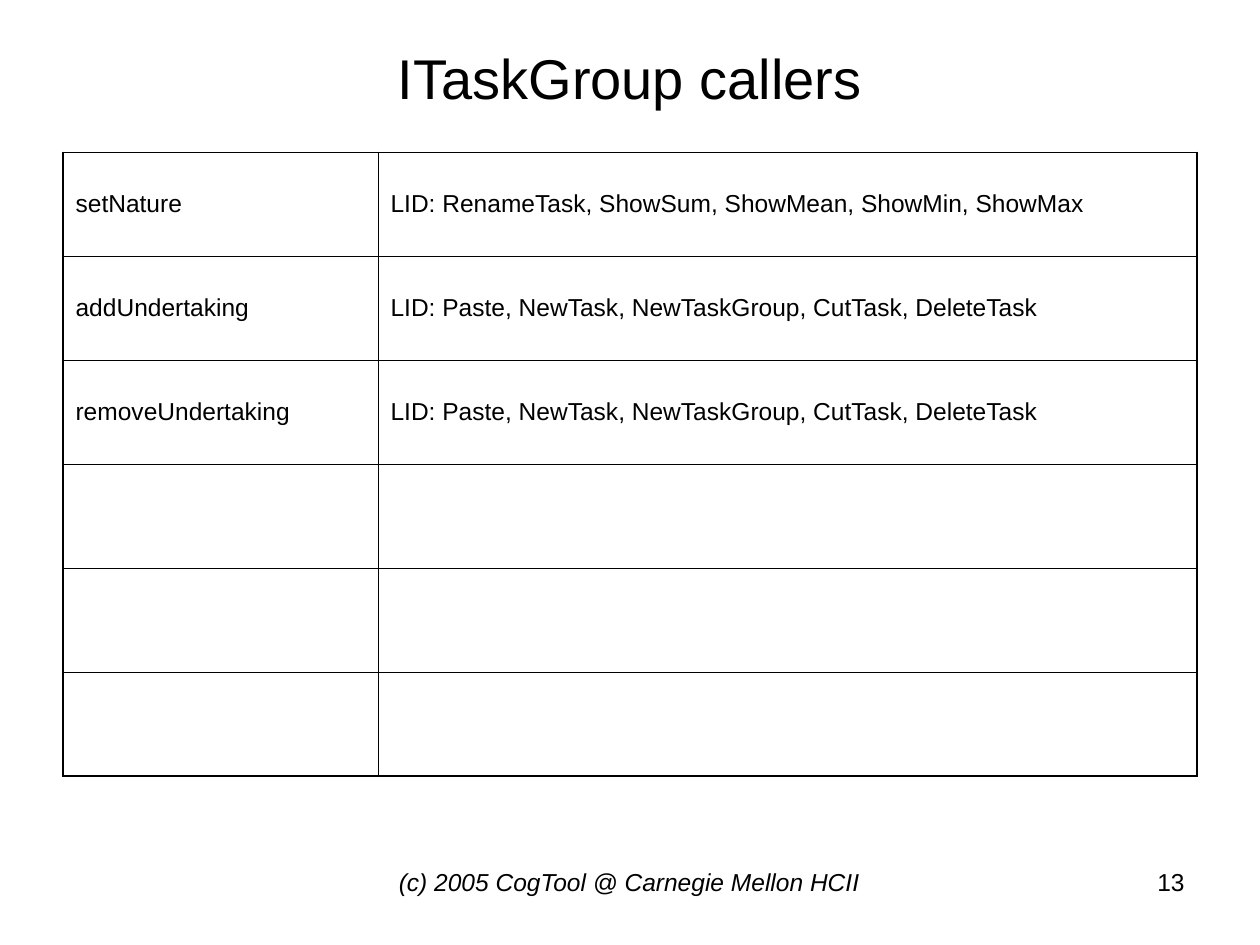
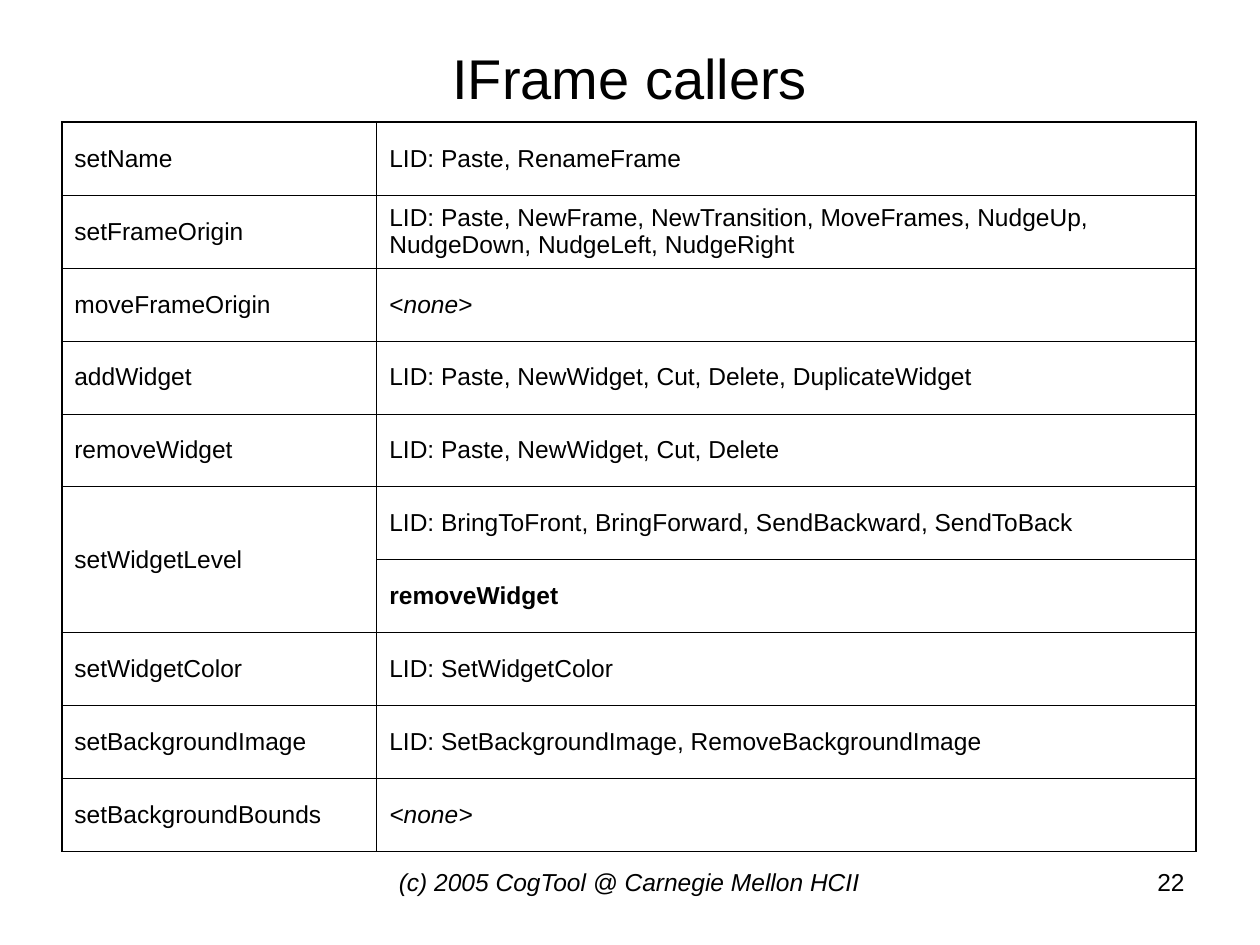
from dataclasses import dataclass
from typing import NamedTuple

from lxml import etree
from pptx import Presentation
from pptx.dml.color import RGBColor
from pptx.enum.text import MSO_ANCHOR, PP_ALIGN
from pptx.oxml.ns import qn
from pptx.util import Inches, Pt

LEFT, CENTER, RIGHT = PP_ALIGN.LEFT, PP_ALIGN.CENTER, PP_ALIGN.RIGHT
TOP, MIDDLE = MSO_ANCHOR.TOP, MSO_ANCHOR.MIDDLE


@dataclass(frozen=True)
class Theme:
    """Colours, type sizes and line widths shared by the slides."""
    font: str = "Arial"
    ink: str = "000000"
    title_size: float = 32
    body_size: float = 14
    outer_line: float = 1.08
    inner_line: float = 0.45


class Run(NamedTuple):
    """A stretch of text with its own emphasis."""
    text: str
    bold: bool = False
    italic: bool = False


class Box(NamedTuple):
    """Left, top, width and height in inches."""
    left: float
    top: float
    width: float
    height: float


class Caller(NamedTuple):
    """A method and what calls it; no method continues the one above."""
    method: str | None
    callers: tuple[Run, ...]


class CallerSlide(NamedTuple):
    """One table slide."""
    title: str
    number: int
    table_box: Box
    rows: list[Caller]


THEME = Theme()
FOOTER = "(c) 2005 CogTool @ Carnegie Mellon HCII"
TITLE_BOX = Box(0.5, 0.3, 9, 0.62)
FOOTER_BOX = Box(2.83, 6.83, 4.33, 0.52)
NUMBER_BOX = Box(7.17, 6.83, 2.33, 0.52)
COLUMN_WIDTHS = (2.5, 6.5)


def lid(commands: str) -> tuple[Run, ...]:
    """Name the LID commands that call a method."""
    return (Run(f"LID: {commands}"),)


TASK_EDITS = lid("Paste, NewTask, NewTaskGroup, CutTask, DeleteTask")
SLIDES = [
    CallerSlide("ITaskGroup callers", 13, Box(0.5, 1.21, 9, 4.95), [
        Caller("setNature", lid("RenameTask, ShowSum, ShowMean, ShowMin, ShowMax")),
        Caller("addUndertaking", TASK_EDITS),
        Caller("removeUndertaking", TASK_EDITS),
        *[Caller("", ())] * 3,
    ]),
    CallerSlide("IFrame callers", 22, Box(0.49, 0.97, 9, 5.79), [
        Caller("setName", lid("Paste, RenameFrame")),
        Caller("setFrameOrigin", lid("Paste, NewFrame, NewTransition, MoveFrames, "
                                     "NudgeUp, NudgeDown, NudgeLeft, NudgeRight")),
        Caller("moveFrameOrigin", (Run("<"), Run("none", italic=True), Run(">"))),
        Caller("addWidget", lid("Paste, NewWidget, Cut, Delete, DuplicateWidget")),
        Caller("removeWidget", lid("Paste, NewWidget, Cut, Delete")),
        Caller("setWidgetLevel", lid("BringToFront, BringForward, SendBackward, SendToBack")),
        Caller(None, (Run("removeWidget", bold=True),)),
        Caller("setWidgetColor", lid("SetWidgetColor")),
        Caller("setBackgroundImage", lid("SetBackgroundImage, RemoveBackgroundImage")),
        Caller("setBackgroundBounds", (Run("<none>", italic=True),)),
    ]),
]


def write(frame, *runs: Run, size: float = THEME.body_size, align=LEFT) -> None:
    """Write formatted runs into the first paragraph of a text frame."""
    paragraph = frame.paragraphs[0]
    paragraph.alignment = align
    for part in runs:
        run = paragraph.add_run()
        run.text = part.text
        font = run.font
        font.name, font.size = THEME.font, Pt(size)
        font.bold, font.italic = part.bold, part.italic
        font.color.rgb = RGBColor.from_string(THEME.ink)


def add_text(slide, box: Box, run: Run, *, size: float = THEME.body_size,
             align=LEFT, anchor=TOP) -> None:
    """Add a wrapping text box."""
    frame = slide.shapes.add_textbox(*map(Inches, box)).text_frame
    frame.word_wrap = True
    frame.vertical_anchor = anchor
    write(frame, run, size=size, align=align)


def set_borders(cell, outer_sides: dict[str, bool]) -> None:
    """Draw each side of a cell, heavier on the table's outline."""
    properties = cell._tc.get_or_add_tcPr()
    for side, is_outer in outer_sides.items():
        width = THEME.outer_line if is_outer else THEME.inner_line
        line = etree.SubElement(properties, qn(f"a:ln{side}"), w=str(int(Pt(width))))
        fill = etree.SubElement(line, qn("a:solidFill"))
        etree.SubElement(fill, qn("a:srgbClr"), val=THEME.ink)


def add_caller_table(slide, box: Box, rows: list[Caller]) -> None:
    """Add the table of methods and their callers."""
    last_row, last_column = len(rows) - 1, len(COLUMN_WIDTHS) - 1
    table = slide.shapes.add_table(len(rows), len(COLUMN_WIDTHS), *map(Inches, box)).table
    table.first_row = table.horz_banding = False
    for column, width in zip(table.columns, COLUMN_WIDTHS):
        column.width = Inches(width)
    for r, caller in enumerate(rows):
        table.rows[r].height = Inches(box.height / len(rows))
        method = (Run(caller.method),) if caller.method else ()
        for c, runs in enumerate((method, caller.callers)):
            cell = table.cell(r, c)
            cell.vertical_anchor = MIDDLE
            write(cell.text_frame, *runs)
            set_borders(cell, {"L": c == 0, "R": c == last_column,
                               "T": r == 0, "B": r == last_row})
            cell.fill.background()
        if caller.method is None:
            table.cell(r - 1, 0).merge(table.cell(r, 0))


def add_caller_slide(deck, content: CallerSlide) -> None:
    """Add a slide with title, table and footer."""
    slide = deck.slides.add_slide(deck.slide_layouts[6])
    add_text(slide, TITLE_BOX, Run(content.title), size=THEME.title_size,
             align=CENTER, anchor=MIDDLE)
    add_caller_table(slide, content.table_box, content.rows)
    add_text(slide, FOOTER_BOX, Run(FOOTER, italic=True), align=CENTER)
    add_text(slide, NUMBER_BOX, Run(str(content.number)), align=RIGHT)


def main() -> None:
    """Build and save the deck."""
    deck = Presentation()
    deck.slide_width, deck.slide_height = Inches(10), Inches(7.5)
    for content in SLIDES:
        add_caller_slide(deck, content)
    deck.save("out.pptx")


if __name__ == "__main__":
    main()
